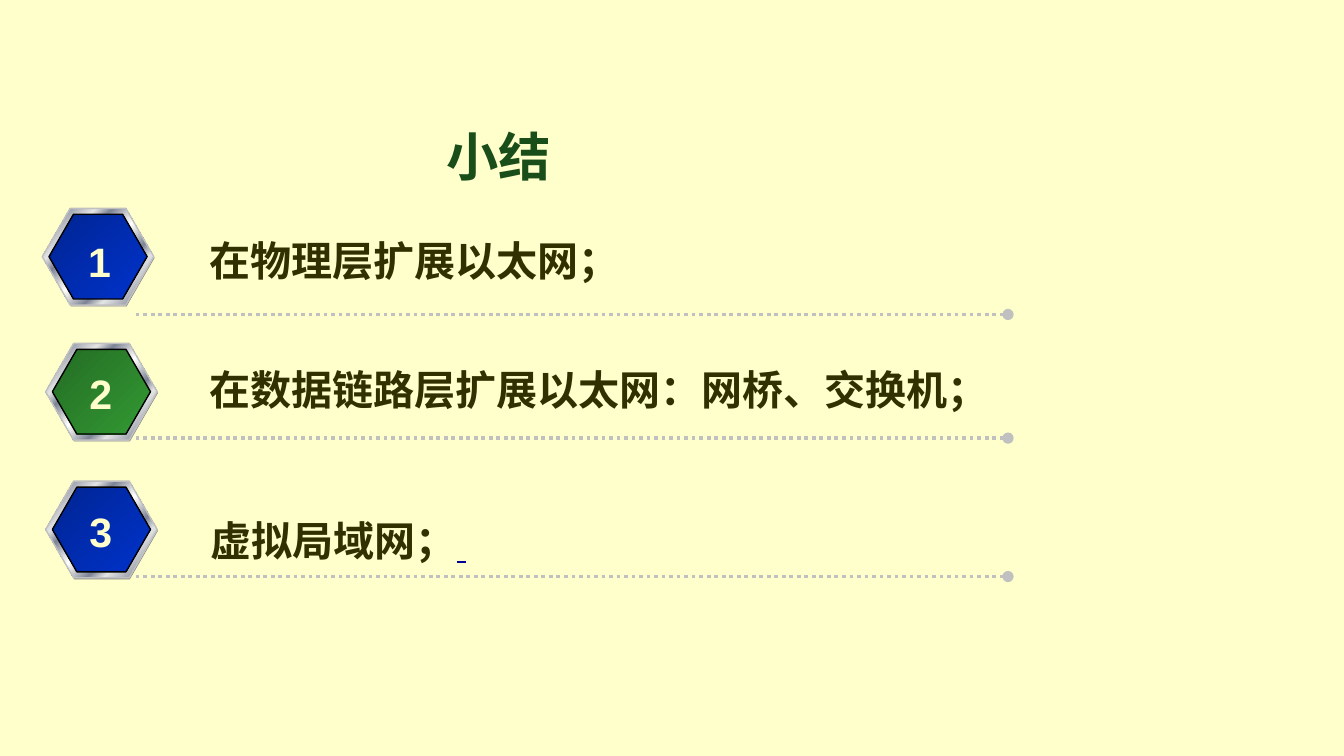
from lxml.etree import SubElement
from pptx import Presentation
from pptx.dml.color import RGBColor
from pptx.enum.dml import MSO_LINE
from pptx.enum.shapes import MSO_CONNECTOR, MSO_SHAPE
from pptx.enum.text import MSO_ANCHOR, MSO_AUTO_SIZE, PP_ALIGN
from pptx.oxml.ns import qn
from pptx.util import Inches, Pt

COLORS = {
    "page": "FFFFCC", "title": "194D19", "text": "303000", "link": "000099",
    "shadow": "808080", "rule": "C0C0C0", "edge": "000000",
    "silver": "E6E6E6", "steel": "7D8496", "white": "FFFFFF",
    "navy": "002492", "blue": "0033CC", "forest": "246D24", "green": "339933",
}
METAL = [(0, "silver"), (8, "steel"), (26, "silver"), (34, "steel"),
         (46, "silver"), (50, "white"), (54, "silver"), (66, "steel"),
         (74, "silver"), (92, "steel"), (100, "silver")]
BLUE = [(0, "navy"), (100, "blue")]
GREEN = [(0, "forest"), (100, "green")]


def rgb(name):
    return RGBColor.from_string(COLORS[name])


class SummarySlide:
    CELL = Inches(0.1)

    def __init__(self, deck):
        self.page = deck.slides.add_slide(deck.slide_layouts[6])
        fill = self.page.background.fill
        fill.solid()
        fill.fore_color.rgb = rgb("page")

    def grid(self, *cells):
        return [round(cell * self.CELL) for cell in cells]

    def text(self, frame, words, size, font, color, align=PP_ALIGN.LEFT,
             wrap=False, anchor=MSO_ANCHOR.TOP, grow=True):
        box = self.page.shapes.add_textbox(*self.grid(*frame))
        body = box.text_frame
        body.word_wrap = wrap
        body.vertical_anchor = anchor
        body.auto_size = MSO_AUTO_SIZE.SHAPE_TO_FIT_TEXT if grow else MSO_AUTO_SIZE.NONE
        para = body.paragraphs[0]
        para.alignment = align
        para.font.size = Pt(size)
        para.font.name = font
        para.font.bold = True
        para.font.color.rgb = rgb(color)
        para.add_run().text = words
        return para

    def underlined_space(self, para):
        span = para.add_run()
        span.text = " "
        span.font.underline = True
        span.font.color.rgb = rgb("link")

    def gradient(self, shape, stops):
        shape.fill.gradient()
        shape.fill.gradient_angle = 315
        stop_list = shape._element.spPr.find(qn("a:gradFill")).find(qn("a:gsLst"))
        for stop in list(stop_list):
            stop_list.remove(stop)
        for percent, color in stops:
            stop = SubElement(stop_list, qn("a:gs"), pos=str(percent * 1000))
            SubElement(stop, qn("a:srgbClr"), val=COLORS[color])

    def hexagon(self, group, frame, stops=None, edge=None):
        shape = group.shapes.add_shape(MSO_SHAPE.HEXAGON, *self.grid(*frame))
        shape.shadow.inherit = False
        shape.adjustments[0] = 0.289
        shape.adjustments[1] = 1.155
        if stops:
            self.gradient(shape, stops)
            shape.line.color.rgb = rgb(edge)
            shape.line.width = Pt(0.75)
        else:
            shape.fill.solid()
            shape.fill.fore_color.rgb = rgb("shadow")
            shape.line.fill.background()

    def badge(self, left, top, stops):
        group = self.page.shapes.add_group_shape()
        self.hexagon(group, (left + 0.05, top + 0.1, 8.3, 7.2))
        self.hexagon(group, (left, top, 8.3, 7.2), METAL, "rule")
        self.hexagon(group, (left + 0.5, top + 0.45, 7.3, 6.3), stops, "edge")

    def dotted_rule(self, row):
        line = self.page.shapes.add_connector(
            MSO_CONNECTOR.STRAIGHT, *self.grid(10.1, row, 75, row))
        line.line.color.rgb = rgb("rule")
        line.line.width = Pt(2)
        line.line.dash_style = MSO_LINE.ROUND_DOT
        properties = line._element.spPr
        SubElement(properties.find(qn("a:ln")), qn("a:tailEnd"), type="oval")
        SubElement(properties, qn("a:effectLst"))

    def item(self, number, words, badge, stops, rule, label, digit, wrap=False):
        self.badge(*badge, stops)
        self.dotted_rule(rule)
        para = self.text((*label, 4.7), words, 22, "Times New Roman", "text", wrap=wrap)
        self.text((*digit, 3.7, 4.7), str(number), 22, "Arial", "page", PP_ALIGN.CENTER)
        return para


def main():
    deck = Presentation()
    deck.slide_width, deck.slide_height = Inches(10), Inches(10 * 9 / 16)
    slide = SummarySlide(deck)
    slide.text((1.95, 6.9, 70.3, 9.4), "小结", 28, "TeX Gyre Pagella", "title",
               PP_ALIGN.CENTER, True, MSO_ANCHOR.MIDDLE, False)
    slide.item(1, "在物理层扩展以太网；", (3.15, 15.5), BLUE, 23.4,
               (14.6, 17, 32.9), (5.55, 17.1))
    slide.item(2, "在数据链路层扩展以太网：网桥、交换机；", (3.4, 25.55), GREEN, 32.6,
               (14.6, 26.65, 61.4), (5.65, 26.9))
    last = slide.item(3, "虚拟局域网；", (3.4, 35.8), BLUE, 42.9,
                      (14.7, 37.85, 61.3), (5.65, 37.2), True)
    slide.underlined_space(last)
    deck.save("out.pptx")


if __name__ == "__main__":
    main()
